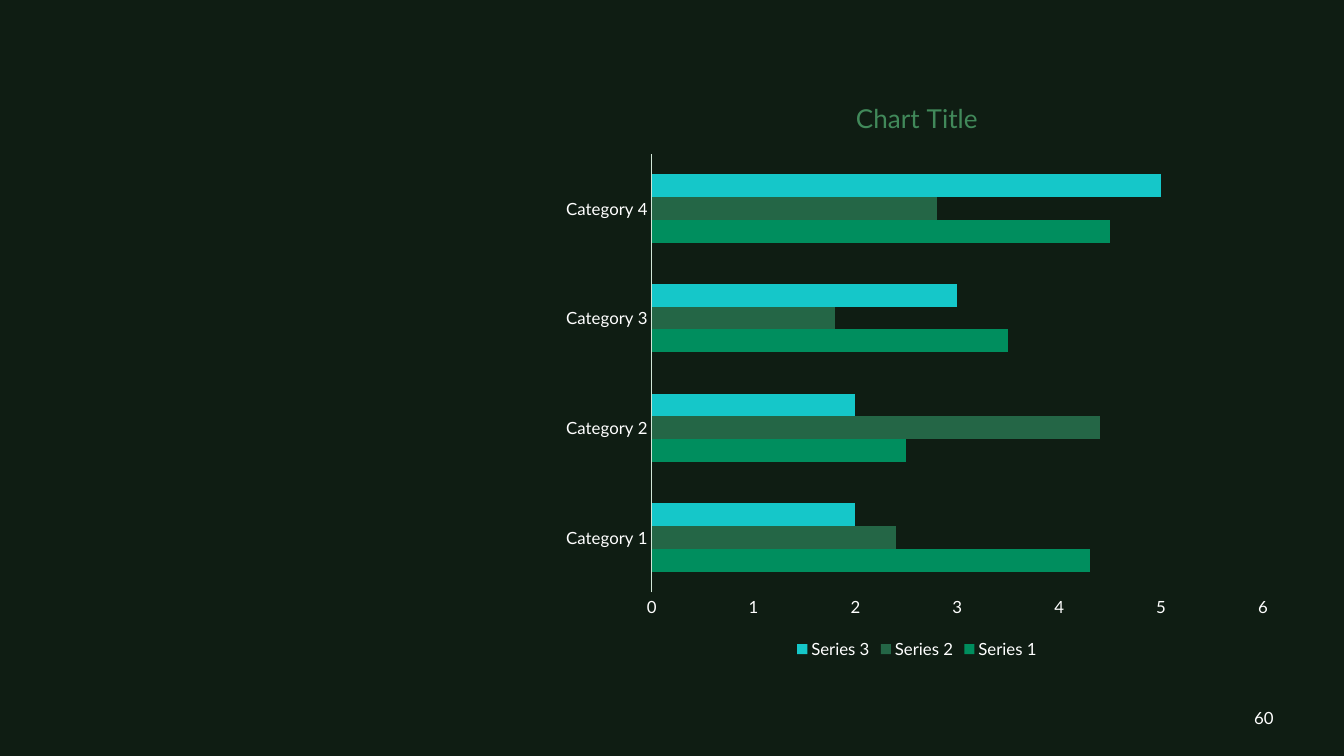
from lxml import etree
from pptx import Presentation
from pptx.chart.data import CategoryChartData
from pptx.dml.color import RGBColor
from pptx.enum import chart as ch, text
from pptx.util import Inches, Pt

# Content
PAGE_NUMBER = "60"
CHART_TITLE = "Chart Title"
CATEGORIES = ["Category 1", "Category 2", "Category 3", "Category 4"]
SERIES = {
    "Series 1": (4.3, 2.5, 3.5, 4.5),
    "Series 2": (2.4, 4.4, 1.8, 2.8),
    "Series 3": (2, 2, 3, 5),
}


class Theme:
    font = "Lato"
    background = RGBColor.from_string("0F1D13")
    label = RGBColor.from_string("FFFFFF")
    title = RGBColor.from_string("41895A")
    axis = RGBColor.from_string("D1E7D7")
    bars = [RGBColor.from_string(c) for c in ("008E5E", "246646", "15C7C9")]
    base_size, label_size, title_size = Pt(10), Pt(12), Pt(18.6)


def style(font, size, color):
    font.name = Theme.font
    font.size = size
    font.bold = False
    font.color.rgb = color


presentation = Presentation()
presentation.slide_width, presentation.slide_height = Inches(13.33), Inches(7.5)
slide = presentation.slides.add_slide(presentation.slide_layouts[6])
slide.background.fill.solid()
slide.background.fill.fore_color.rgb = Theme.background

# Page number
number_box = slide.shapes.add_textbox(Inches(12.23), Inches(6.92), Inches(0.5), Inches(0.4))
frame = number_box.text_frame
frame.word_wrap = True
frame.vertical_anchor = text.MSO_ANCHOR.MIDDLE
paragraph = frame.paragraphs[0]
paragraph.alignment = text.PP_ALIGN.RIGHT
run = paragraph.add_run()
run.text = PAGE_NUMBER
style(run.font, Theme.label_size, Theme.label)

# Bar chart
data = CategoryChartData()
data.categories = CATEGORIES
for name, values in SERIES.items():
    data.add_series(name, values)
chart = slide.shapes.add_chart(
    ch.XL_CHART_TYPE.BAR_CLUSTERED,
    Inches(5.47), Inches(0.77), Inches(7.25), Inches(5.81), data).chart
style(chart.font, Theme.base_size, Theme.background)

plot = chart.plots[0]
plot.gap_width = 182
plot.overlap = 0
plot.vary_by_categories = False
for series, color in zip(plot.series, Theme.bars):
    series.format.fill.solid()
    series.format.fill.fore_color.rgb = color

# Chart title
run = chart.chart_title.text_frame.paragraphs[0].add_run()
run.text = CHART_TITLE
style(run.font, Theme.title_size, Theme.title)
chart.chart_title.include_in_layout = False

# Axes
for axis in (chart.category_axis, chart.value_axis):
    axis.has_major_gridlines = False
    axis.major_tick_mark = axis.minor_tick_mark = ch.XL_TICK_MARK.NONE
    style(axis.tick_labels.font, Theme.label_size, Theme.label)
chart.category_axis.format.line.color.rgb = Theme.axis
chart.category_axis.format.line.width = Pt(0.75)
chart.value_axis.format.line.fill.background()
chart.value_axis.minimum_scale, chart.value_axis.maximum_scale = 0, 6
chart.value_axis.major_unit = 1

# Legend
chart.has_legend = True
chart.legend.position = ch.XL_LEGEND_POSITION.BOTTOM
chart.legend.include_in_layout = False
style(chart.legend.font, Theme.label_size, Theme.label)

presentation.save("out.pptx")
